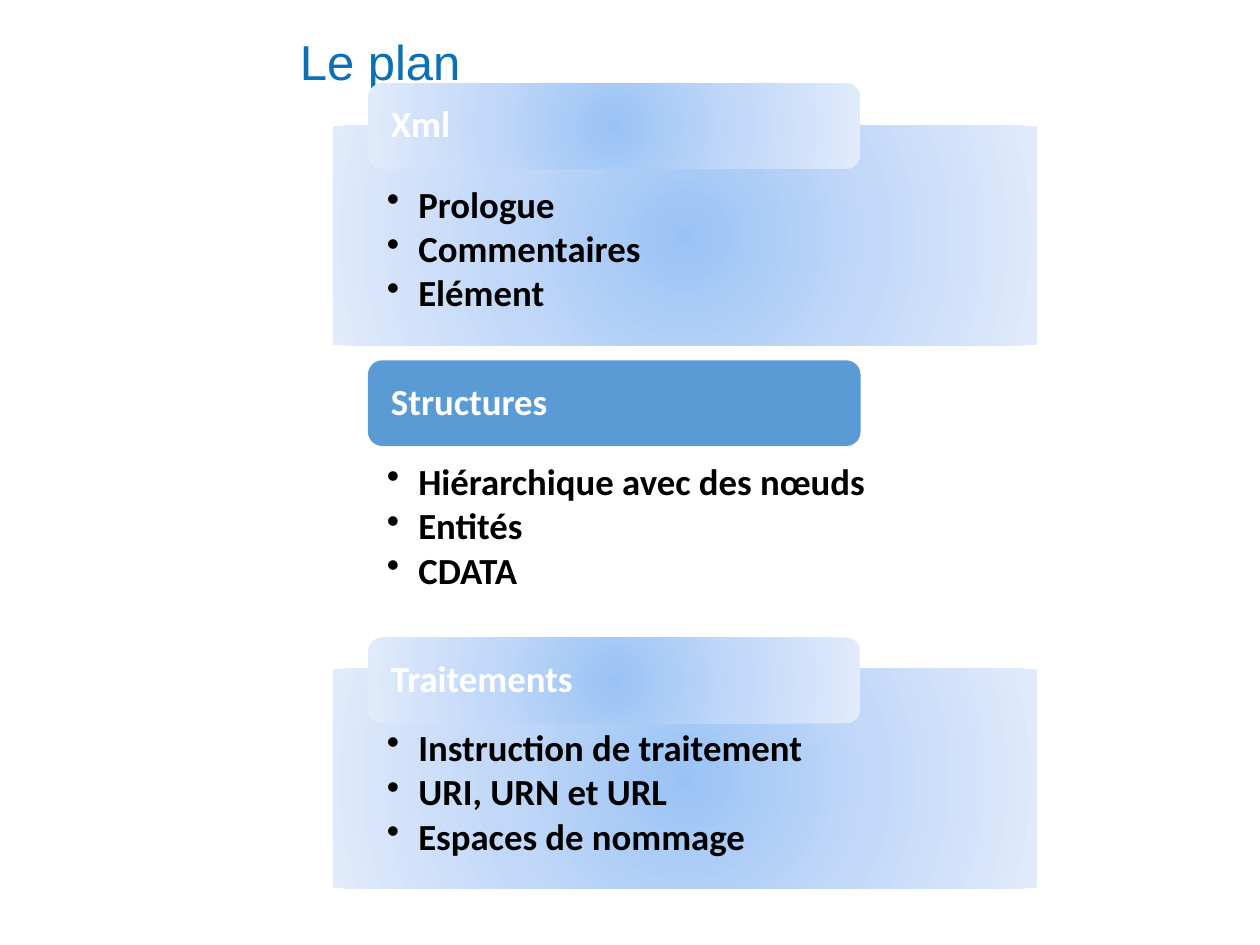
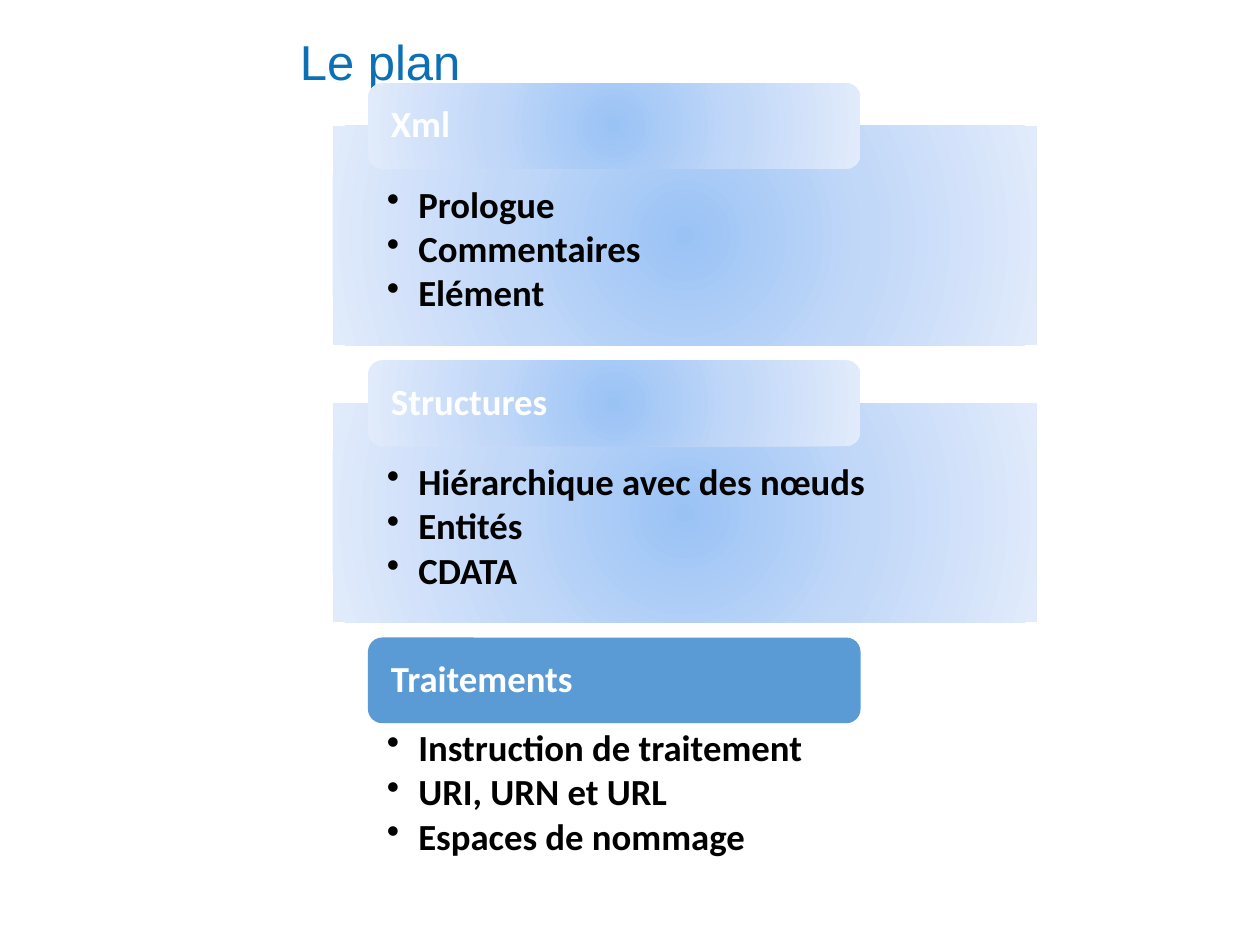
from pptx import Presentation
from pptx.dml.color import RGBColor
from pptx.enum.shapes import MSO_SHAPE as Shape
from pptx.enum.text import MSO_ANCHOR as Anchor, PP_ALIGN as Align
from pptx.oxml import parse_xml
from pptx.oxml.ns import nsdecls, qn
from pptx.util import Inches, Pt

COLORS = {
    "title": "0C70B7", "ink": "000000", "white": "FFFFFF", "current": "5B9BD5",
    "glow_center": "9AC3F5", "glow_middle": "C2D8F8", "glow_edge": "E1EBFB",
}
TITLE_ONLY = 5
WIDTH, HEIGHT = 10, 7.5

# The plan: one row per section, a header tab over a panel of topics
PANEL_LEFT, PANEL_WIDTH, PANEL_HEIGHT = 2.64, 5.59, 1.74
TAB_LEFT, TAB_WIDTH, TAB_HEIGHT = 2.92, 3.91, 0.68
FIRST_ROW, ROW_PITCH = 0.66, 2.2
SECTIONS = [  # heading, topics, drop from tab top to panel top
    ("Xml", ["Prologue", "Commentaires", "Elément"], 0.34),
    ("Structures", ["Hiérarchique avec des nœuds", "Entités", "CDATA"], 0.34),
    ("Traitements",
     ["Instruction de traitement", "URI, URN et URL", "Espaces de nommage"], 0.25),
]
CURRENT_SECTIONS = ["Structures", "Traitements"]  # one slide for each


def write(frame, lines, color, size=21, font="Calibri", bold=True, bullets=False,
          anchor=Anchor.MIDDLE, insets=(0.15, 0, 0.15, 0), after=0):
    frame.word_wrap = True
    frame.vertical_anchor = anchor
    frame.margin_left, frame.margin_top, frame.margin_right, frame.margin_bottom = (
        Inches(inset) for inset in insets)
    for index, line in enumerate(lines):
        paragraph = frame.paragraphs[0] if index == 0 else frame.add_paragraph()
        if bullets:
            paragraph.level = 1
            properties = paragraph._p.get_or_add_pPr()
            properties.set("marL", str(Inches(0.25)))
            properties.set("indent", str(-Inches(0.25)))
            properties.append(parse_xml(f'<a:buChar {nsdecls("a")} char="•"/>'))
        paragraph.alignment = Align.LEFT
        paragraph.line_spacing = 0.9
        paragraph.space_after = Pt(after)
        run = paragraph.add_run()
        run.text = line
        run.font.size, run.font.name, run.font.bold = Pt(size), font, bold
        run.font.color.rgb = RGBColor.from_string(COLORS[color])


def add_block(slide, kind, box, color=None, alpha=100):
    """Add a borderless shape: solid when a colour is given, else a radial glow."""
    block = slide.shapes.add_shape(kind, *(Inches(length) for length in box))
    block.shadow.inherit = False
    block.line.fill.background()
    if color:
        block.fill.solid()
        block.fill.fore_color.rgb = RGBColor.from_string(COLORS[color])
        if alpha < 100:
            block._element.spPr.find(".//" + qn("a:srgbClr")).append(
                parse_xml(f'<a:alpha {nsdecls("a")} val="{alpha * 1000}"/>'))
        return block
    block.fill.gradient()
    default_gradient = block._element.spPr.find(qn("a:gradFill"))
    stops = "".join(
        f'<a:gs pos="{share * 1000}"><a:srgbClr val="{COLORS[name]}"/></a:gs>'
        for share, name in [(0, "glow_center"), (50, "glow_middle"), (100, "glow_edge")])
    block._element.spPr.replace(default_gradient, parse_xml(
        f'<a:gradFill {nsdecls("a")} rotWithShape="1"><a:gsLst>{stops}</a:gsLst>'
        '<a:path path="circle"><a:fillToRect l="50000" t="50000" r="50000" b="50000"/>'
        '</a:path></a:gradFill>'))
    return block


deck = Presentation()
deck.slide_width, deck.slide_height = Inches(WIDTH), Inches(HEIGHT)

for current in CURRENT_SECTIONS:
    slide = deck.slides.add_slide(deck.slide_layouts[TITLE_ONLY])
    title = slide.shapes.title
    title.left, title.top = Inches(2.28), Inches(0.16)
    title.width, title.height = Inches(WIDTH - 2.28), Inches(0.71)
    write(title.text_frame, ["Le plan"], "title", size=28, font="Arial", bold=False,
          insets=(0.1, 0.05, 0.1, 0.05))

    for row, (heading, topics, drop) in enumerate(SECTIONS):
        top = FIRST_ROW + row * ROW_PITCH
        is_current = heading == current

        panel = add_block(slide, Shape.RECTANGLE,
                          (PANEL_LEFT, top + drop, PANEL_WIDTH, PANEL_HEIGHT),
                          color="white" if is_current else None, alpha=90)
        write(panel.text_frame, topics, "ink", bullets=True, anchor=Anchor.TOP,
              insets=(0.43, 0.48, 0.43, 0.16), after=2.7)

        tab = add_block(slide, Shape.ROUNDED_RECTANGLE,
                        (TAB_LEFT, top, TAB_WIDTH, TAB_HEIGHT),
                        color="current" if is_current else None)
        write(tab.text_frame, [heading], "white")

deck.save("out.pptx")
